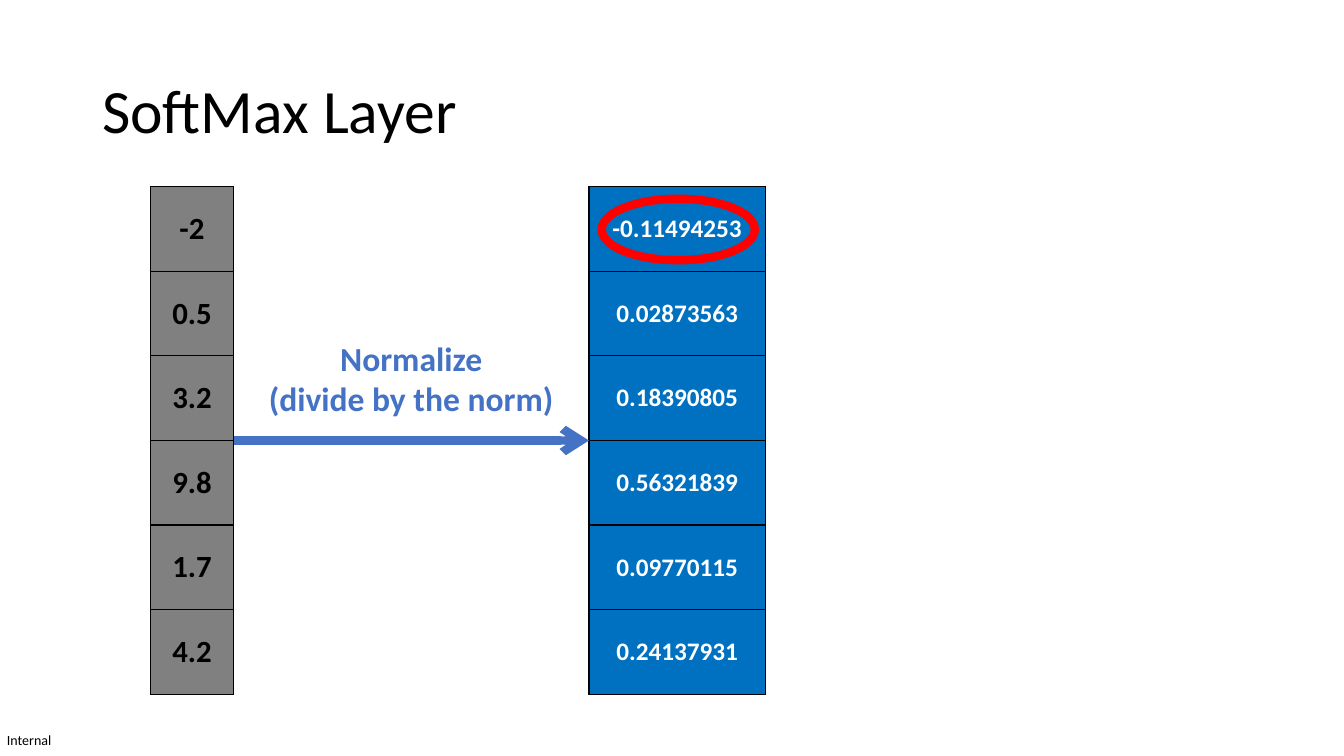
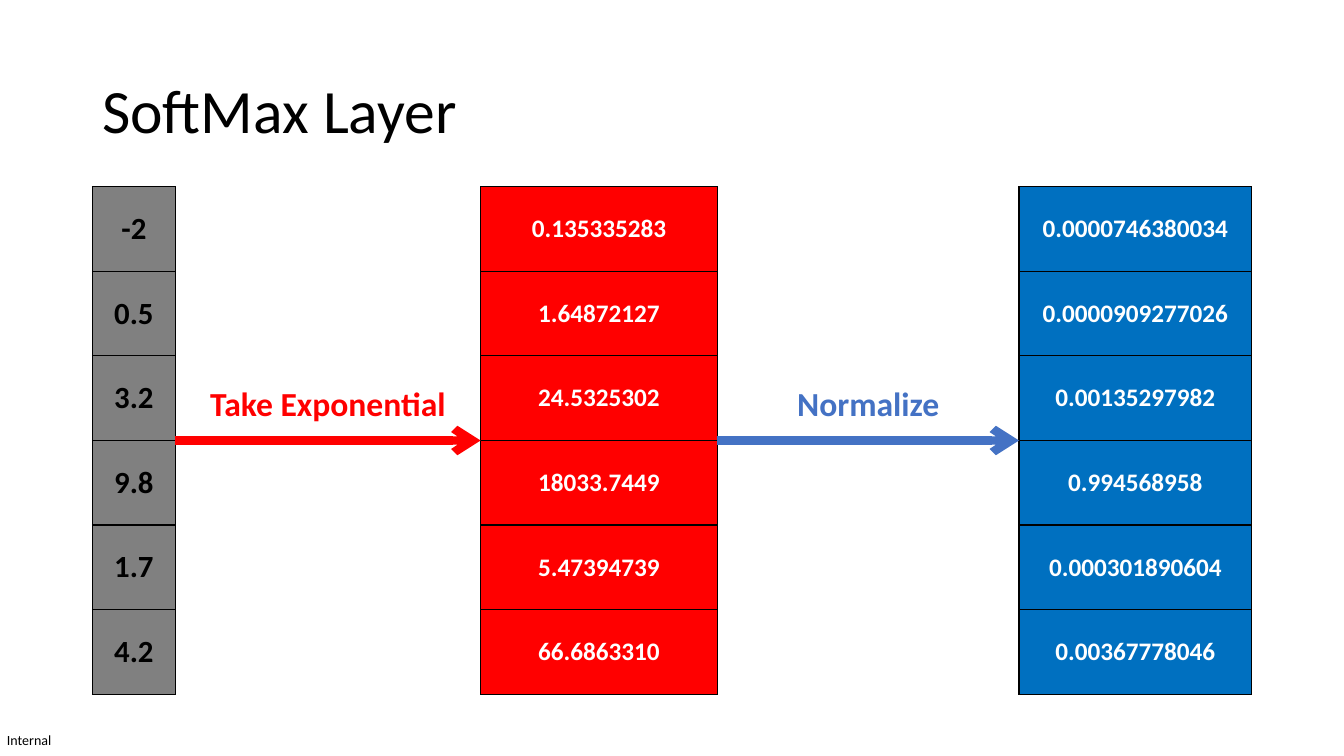
"""Builds two slides on the SoftMax layer."""
from lxml import etree
from pptx import Presentation
from pptx import util as u
from pptx.dml.color import RGBColor
from pptx.enum import shapes, text
from pptx.oxml import ns

Pt = u.Pt
BLACK = RGBColor(0x00, 0x00, 0x00)
WHITE = RGBColor(0xFF, 0xFF, 0xFF)
GREY = RGBColor(0x80, 0x80, 0x80)
RED = RGBColor(0xFF, 0x00, 0x00)
BLUE = RGBColor(0x00, 0x70, 0xC0)
STEEL = RGBColor(0x44, 0x72, 0xC4)

TOP, ROW = 133.3, 60.45
MID = TOP + 3 * ROW
INPUT = ["-2", "0.5", "3.2", "9.8", "1.7", "4.2"]


def apply(obj, **vals):
    for key, val in vals.items():
        setattr(obj, key, val)


class Deck:
    font = "Calibri"
    sides = "lnL", "lnR", "lnT", "lnB"

    def __init__(self):
        self.file = Presentation()
        apply(self.file, slide_width=Pt(960), slide_height=Pt(540))
        self.slide = None

    def start(self, title):
        self.slide = self.file.slides.add_slide(self.file.slide_layouts[6])
        self.label([title], (66, 28.75, 828, 104.4), 44, BLACK, wrap=True,
                   anchor=text.MSO_ANCHOR.MIDDLE, spacing=0.9)
        self.label(["Internal"], (5, 522.8, 34, 12.2), 10, BLACK, inset=(0, 0))

    def style(self, para, size, color, bold, align, spacing=None):
        apply(para, alignment=align, line_spacing=spacing)
        apply(para.font, name=self.font, size=Pt(size), bold=bold)
        para.font.color.rgb = color

    def label(self, lines, box, size, color, bold=False, wrap=False,
              align=text.PP_ALIGN.LEFT, anchor=text.MSO_ANCHOR.TOP,
              inset=(7.2, 3.6), spacing=None):
        frame = self.slide.shapes.add_textbox(*map(Pt, box)).text_frame
        side, edge = map(Pt, inset)
        apply(frame, text="\n".join(lines), word_wrap=wrap,
              vertical_anchor=anchor, margin_left=side, margin_right=side,
              margin_top=edge, margin_bottom=edge)
        for para in frame.paragraphs:
            self.style(para, size, color, bold, align, spacing)

    def border(self, cell):
        props = cell._tc.get_or_add_tcPr()
        for side in self.sides:
            line = etree.SubElement(props, ns.qn("a:" + side), w=str(Pt(1)))
            fill = etree.SubElement(line, ns.qn("a:solidFill"))
            etree.SubElement(fill, ns.qn("a:srgbClr"), val=str(BLACK))

    def column(self, vals, left, width, fill, color=WHITE, size=18):
        table = self.slide.shapes.add_table(
            len(vals), 1, Pt(left), Pt(TOP), Pt(width), Pt(ROW * len(vals))).table
        apply(table, first_row=False, horz_banding=False)
        for cell, val in zip(table.iter_cells(), vals):
            apply(cell, text=val, vertical_anchor=text.MSO_ANCHOR.MIDDLE,
                  margin_left=Pt(15), margin_right=Pt(15),
                  margin_top=Pt(7.5), margin_bottom=Pt(7.5))
            self.border(cell)
            cell.fill.solid()
            cell.fill.fore_color.rgb = fill
            self.style(cell.text_frame.paragraphs[0], size, color, True,
                       text.PP_ALIGN.CENTER)
        return left, left + width

    def source(self, left):
        return self.column(INPUT, left, 59.3, GREY, BLACK, 22)

    def step(self, lines, first, last, color, top, width):
        start, end = first[1], last[0]
        arrow = self.slide.shapes.add_connector(
            shapes.MSO_CONNECTOR.STRAIGHT, Pt(start), Pt(MID), Pt(end), Pt(MID))
        arrow.line.color.rgb = color
        arrow.line.width = Pt(6)
        line = arrow.line._get_or_add_ln()
        etree.SubElement(line, ns.qn("a:tailEnd"), type="arrow")
        etree.SubElement(arrow._element.spPr, ns.qn("a:effectLst"))
        left = (start + end - width) / 2
        self.label(lines, (left, top, width, 7.2 + 29.3 * len(lines)), 24, color,
                   bold=True, align=text.PP_ALIGN.CENTER)

    def ring(self, box):
        oval = self.slide.shapes.add_shape(shapes.MSO_SHAPE.OVAL, *map(Pt, box))
        oval.shadow.inherit = False
        oval.fill.background()
        oval.line.color.rgb = RED
        oval.line.width = Pt(6)


def main():
    deck = Deck()

    deck.start("SoftMax Layer")
    first = deck.source(107.5)
    norm = deck.column(["-0.11494253", "0.02873563", "0.18390805", "0.56321839",
                        "0.09770115", "0.24137931"], 420.7, 126, BLUE)
    deck.step(["Normalize", "(divide by the norm)"], first, norm, STEEL, 237.5, 219.6)
    deck.ring((429.8, 142, 109.4, 43.9))

    deck.start("SoftMax Layer")
    first = deck.source(66)
    power = deck.column(["0.135335283", "1.64872127", "24.5325302", "18033.7449",
                         "5.47394739", "66.6863310"], 343.3, 169.2, RED)
    deck.step(["Take Exponential"], first, power, RED, 270, 184.3)
    norm = deck.column(["0.0000746380034", "0.0000909277026", "0.00135297982",
                        "0.994568958", "0.000301890604", "0.00367778046"],
                       727.9, 166.2, BLUE)
    deck.step(["Normalize"], power, norm, STEEL, 270, 116.6)

    deck.file.save("out.pptx")


if __name__ == "__main__":
    main()
